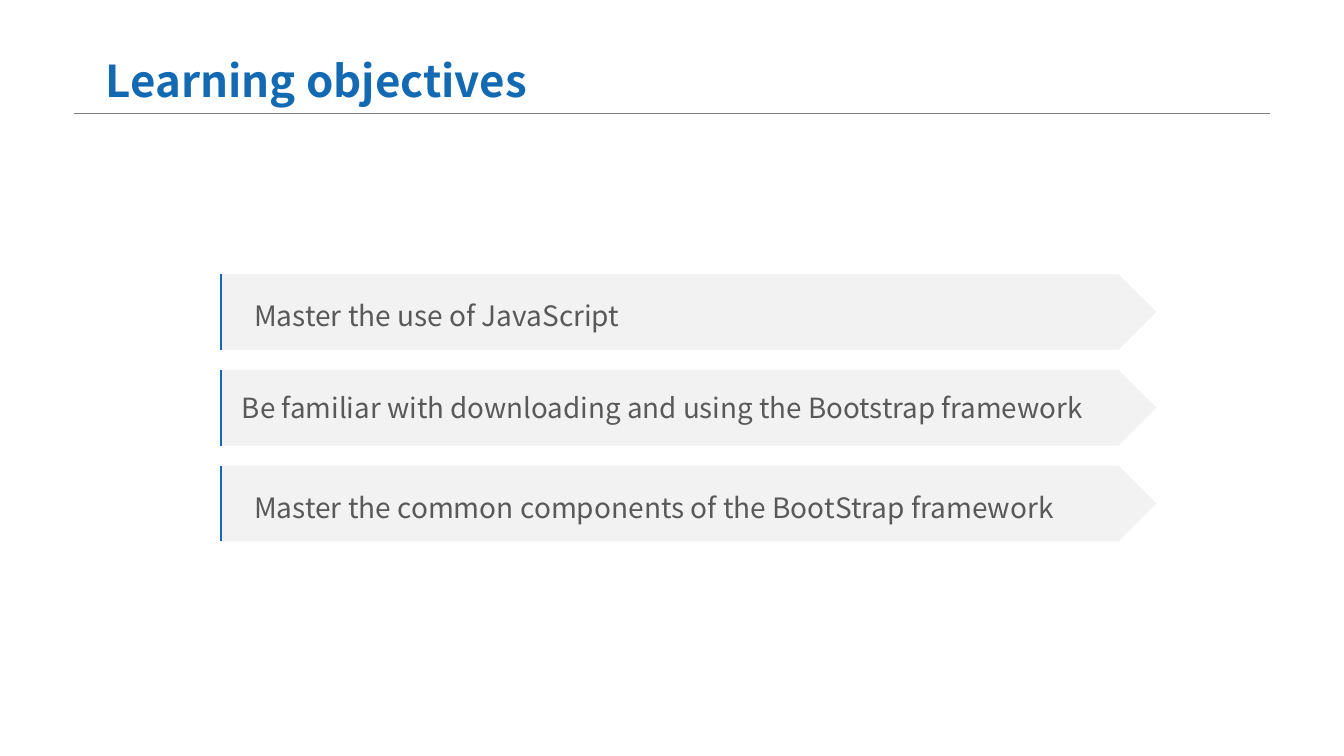
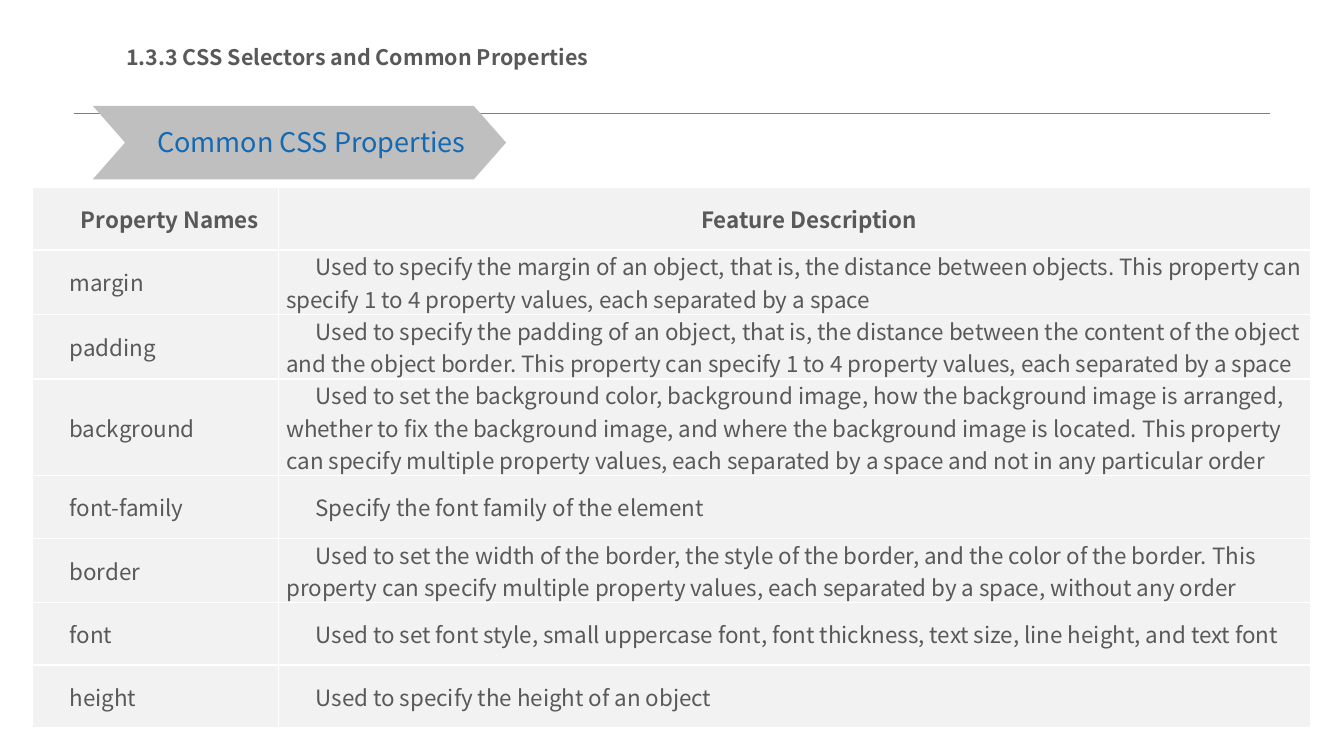
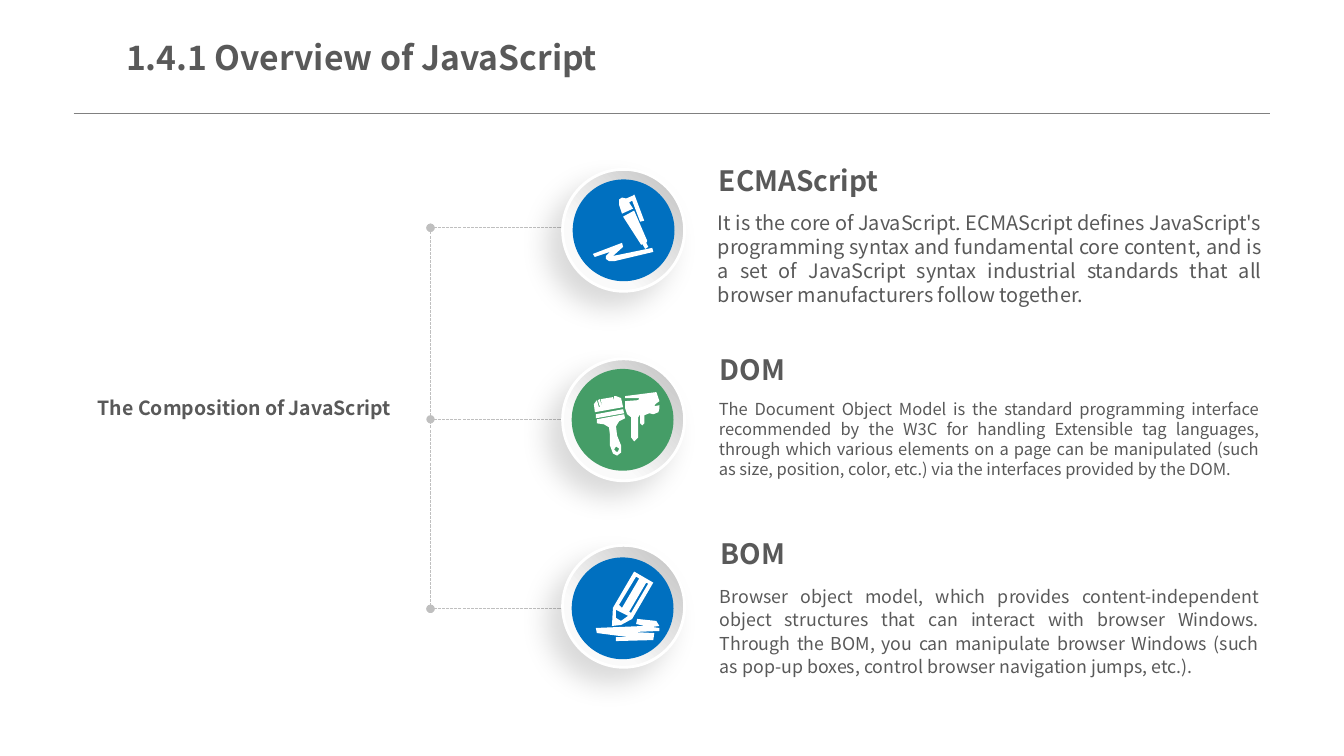
from lxml.etree import SubElement
from pptx import Presentation
from pptx.dml.color import RGBColor
from pptx.enum.dml import MSO_LINE
from pptx.enum.shapes import MSO_CONNECTOR, MSO_SHAPE
from pptx.enum.text import MSO_ANCHOR, MSO_AUTO_SIZE, PP_ALIGN
from pptx.oxml.ns import qn
from pptx.util import Inches, Pt

FONT = "Noto Sans CJK SC"
ACCENT = "1369B2"
GREY_TEXT = "595959"
PALE = "F2F2F2"
SILVER = "BFBFBF"
WHITE = "FFFFFF"
BLUE = "0070C0"
GREEN = "459D67"

OBJECTIVES = [  # text, size, left margin, line spacing
    ("Master the use of JavaScript", 20, 0.34, 1.2),
    ("Be familiar with downloading and using the Bootstrap framework", 19.8, 0.22, 1),
    ("Master the common components of the BootStrap framework", 20, 0.34, 1.2),
]

ROW_HEIGHTS = {1: 0.62, 2: 0.64, 3: 0.96}  # by number of text lines
PROPERTIES = [  # name, description, text lines
    ("Property Names", "Feature Description", 1),
    ("margin", "Used to specify the margin of an object, that is, the distance between objects. "
     "This property can specify 1 to 4 property values, each separated by a space", 2),
    ("padding", "Used to specify the padding of an object, that is, the distance between the "
     "content of the object and the object border. This property can specify 1 to 4 property "
     "values, each separated by a space", 2),
    ("background", "Used to set the background color, background image, how the background "
     "image is arranged, whether to fix the background image, and where the background image "
     "is located. This property can specify multiple property values, each separated by a "
     "space and not in any particular order", 3),
    ("font-family", "Specify the font family of the element", 1),
    ("border", "Used to set the width of the border, the style of the border, and the color of "
     "the border. This property can specify multiple property values, each separated by a "
     "space, without any order", 2),
    ("font", "Used to set font style, small uppercase font, font thickness, text size, line "
     "height, and text font", 1),
    ("height", "Used to specify the height of an object", 1),
]

# Icon outlines, in hundredths of an inch from the corner of their disc
PEN = [
    [(50, 37), (61, 31), (74, 61), (73, 63), (75, 67), (72, 69), (69, 64), (68, 65)],
    [(20, 74), (22, 77), (37, 72), (33, 76), (33, 79), (36, 81), (42, 81), (80, 72),
     (79, 68), (40, 76), (50, 67), (49, 63)],
    [(53, 19), (49, 18), (46, 20), (46, 25), (49, 34), (60, 29), (56, 23), (59, 21),
     (67, 42), (71, 41), (62, 17), (61, 15), (60, 16)],
]
BRUSHES = [
    [(72, 46), (72, 54), (70, 56), (68, 54), (68, 45), (66, 48), (66, 68), (62, 72),
     (59, 68), (59, 48), (55, 45), (53, 39), (53, 32), (66, 31), (67, 29), (53, 29),
     (53, 27), (84, 23), (87, 32), (83, 35), (82, 37), (87, 36), (87, 39), (86, 43),
     (81, 45), (77, 44)],
    [(24, 45), (51, 40), (52, 44), (24, 49)],
    [(52, 45), (25, 50), (25, 54), (32, 55), (37, 58), (38, 66), (38, 76), (41, 84),
     (45, 86), (49, 83), (49, 76), (45, 66), (44, 57), (47, 52), (53, 49)],
    [(44, 77), (47, 79), (46, 82), (44, 82), (42, 80)],
    [(51, 38), (49, 29), (44, 27), (42, 27), (42, 31), (41, 28), (29, 30), (30, 38),
     (28, 30), (26, 31), (28, 38), (27, 38), (25, 31), (22, 35), (23, 43)],
]
PENCIL = [
    [(62, 14), (81, 25), (60, 61), (49, 67), (40, 68), (41, 50)],
    [(81, 82), (82, 75), (61, 74), (87, 73), (87, 70), (80, 69), (87, 68), (84, 63),
     (65, 61), (64, 66), (72, 68), (24, 70), (25, 75), (56, 79), (44, 79), (44, 83)],
    [(49, 63), (56, 58), (44, 52), (44, 60)],
    [(74, 25), (57, 54), (59, 55), (76, 26)],
    [(64, 19), (47, 47), (50, 50), (67, 21)],
]

PARTS = [
    dict(name="ECMAScript", name_at=(7.13, 1.62), body_box=(7.12, 2.09, 5.39, 0.97),
         size=14.2, spacing=1, line_y=2.26, ring_top=1.68, disc_at=(5.68, 1.78),
         color=BLUE, icon=PEN,
         body="It is the core of JavaScript. ECMAScript defines JavaScript's programming syntax "
              "and fundamental core content, and is a set of JavaScript syntax industrial "
              "standards that all browser manufacturers follow together."),
    dict(name="DOM", name_at=(7.14, 3.5), body_box=(7.13, 3.96, 5.36, 0.97),
         size=11.8, spacing=1, line_y=4.16, ring_top=3.56, disc_at=(5.67, 3.66),
         color=GREEN, icon=BRUSHES,
         body="The Document Object Model is the standard programming interface recommended by "
              "the W3C for handling Extensible tag languages, through which various elements on "
              "a page can be manipulated (such as size, position, color, etc.) via the "
              "interfaces provided by the DOM."),
    dict(name="BOM", name_at=(7.15, 5.32), body_box=(7.14, 5.79, 5.35, 0.97),
         size=12.7, spacing=1.1, line_y=6.04, ring_top=5.41, disc_at=(5.67, 5.53),
         color=BLUE, icon=PENCIL,
         body="Browser object model, which provides content-independent object structures that "
              "can interact with browser Windows. Through the BOM, you can manipulate browser "
              "Windows (such as pop-up boxes, control browser navigation jumps, etc.)."),
]


def rgb(value):
    return RGBColor.from_string(value)


def write(frame, text, size, color=GREY_TEXT, bold=False, align=PP_ALIGN.LEFT, spacing=None):
    """Put one formatted paragraph in a text frame and return it."""
    frame.text = text
    para = frame.paragraphs[0]
    para.alignment = align
    if spacing:
        para.line_spacing = spacing
    for span in para.runs:
        font = span.font
        font.name, font.size, font.bold = FONT, Pt(size), bold
        font.color.rgb = rgb(color)
    return para


def set_margins(frame, horizontal, vertical):
    frame.margin_left = frame.margin_right = Inches(horizontal)
    frame.margin_top = frame.margin_bottom = Inches(vertical)


def add_line(slide, start, end, color, width):
    line = slide.shapes.add_connector(MSO_CONNECTOR.STRAIGHT, *map(Inches, start + end))
    line.line.color.rgb = rgb(color)
    line.line.width = Pt(width)
    SubElement(line.element.spPr, qn("a:effectLst"))
    return line


def add_dotted_line(slide, start, end):
    """Dashed line with a round dot at both ends."""
    line = add_line(slide, start, end, SILVER, 0.75)
    line.line.dash_style = MSO_LINE.SQUARE_DOT
    outline = line.element.spPr.find(qn("a:ln"))
    for tag in ("a:headEnd", "a:tailEnd"):
        SubElement(outline, qn(tag), type="oval")


def add_filled(slide, kind, box, color):
    shape = slide.shapes.add_shape(kind, *map(Inches, box))
    shape.shadow.inherit = False
    shape.fill.solid()
    shape.fill.fore_color.rgb = rgb(color)
    shape.line.fill.background()
    return shape


def add_text(slide, box, text, size, margins=(0, 0), **style):
    frame = slide.shapes.add_textbox(*map(Inches, box)).text_frame
    frame.word_wrap = True
    set_margins(frame, *margins)
    write(frame, text, size, **style)


def add_titled_slide(deck, title, box, size, margin=0, color=GREY_TEXT):
    slide = deck.slides.add_slide(deck.slide_layouts.get_by_name("Title Only"))
    holder = slide.shapes.title
    holder.left, holder.top, holder.width, holder.height = map(Inches, box)
    frame = holder.text_frame
    frame.auto_size = MSO_AUTO_SIZE.NONE
    frame.vertical_anchor = MSO_ANCHOR.MIDDLE
    set_margins(frame, margin, 0.07)
    write(frame, title, size, color, bold=True)
    return slide


def move_rule_to_layout(slide):
    """Draw the rule under the title and hand it to the layout, for all slides."""
    rule = add_line(slide, (0.73, 1.12), (12.6, 1.12), "808080", 0.25)
    slide.slide_layout.placeholders[0].element.addprevious(rule.element)


def add_objective(slide, top, text, size, margin, spacing):
    height = 0.75
    banner = add_filled(slide, MSO_SHAPE.PENTAGON, (2.18, top, 9.29, height), PALE)
    frame = banner.text_frame
    frame.vertical_anchor = MSO_ANCHOR.MIDDLE
    frame.margin_left = Inches(margin)
    write(frame, text, size, spacing=spacing)
    add_line(slide, (2.19, top + height), (2.19, top), ACCENT, 1.5)


def border_cell(cell, color):
    for side in ("L", "R", "T", "B"):
        edge = SubElement(cell._tc.get_or_add_tcPr(), qn(f"a:ln{side}"), w=str(Pt(1)))
        SubElement(SubElement(edge, qn("a:solidFill")), qn("a:srgbClr"), val=color)


def add_property_table(slide):
    widths = (2.44, 10.24)
    heights = [ROW_HEIGHTS[lines] for *_, lines in PROPERTIES]
    box = (0.32, 1.86, sum(widths), sum(heights))
    table = slide.shapes.add_table(len(heights), len(widths), *map(Inches, box)).table
    table.horz_banding = False
    for column, width in zip(table.columns, widths):
        column.width = Inches(width)
    for row_index, (row, height) in enumerate(zip(table.rows, heights)):
        row.height = Inches(height)
        is_header = row_index == 0
        for cell, text in zip(row.cells, PROPERTIES[row_index]):
            border_cell(cell, WHITE)
            cell.fill.solid()
            cell.fill.fore_color.rgb = rgb(PALE)
            cell.vertical_anchor = MSO_ANCHOR.MIDDLE
            set_margins(cell, 0.08, 0)
            para = write(cell.text_frame, text, 16, bold=is_header,
                         align=PP_ALIGN.CENTER if is_header else PP_ALIGN.LEFT)
            properties = para._p.get_or_add_pPr()
            properties.set("marL", "0")
            properties.set("indent", str(Inches(0.29)))


def add_ring(slide, top):
    """Raised ring: grey gradient, white edge and a soft shadow to the lower left."""
    ring = add_filled(slide, MSO_SHAPE.OVAL, (5.58, top, 1.21, 1.21), SILVER)
    ring.fill.gradient()
    ring.fill.gradient_angle = 225
    for stop, color, position in zip(ring.fill.gradient_stops, (SILVER, "FAFAFA"), (0, 0.7)):
        stop.color.rgb = rgb(color)
        stop.position = position
    ring.line.color.rgb = rgb(WHITE)
    ring.line.width = Pt(2)
    shadow = SubElement(ring.element.spPr.find(qn("a:effectLst")), qn("a:outerShdw"),
                        blurRad=str(Pt(20)), dist=str(Pt(15)), dir="8100000",
                        algn="ctr", rotWithShape="0")
    shade = SubElement(shadow, qn("a:srgbClr"), val="000000")
    SubElement(shade, qn("a:alpha"), val="15000")


def add_icon(slide, origin, outlines):
    builder = slide.shapes.build_freeform(*outlines[0][0], scale=Inches(0.01))
    for outline in outlines:
        builder.move_to(*outline[0])
        builder.add_line_segments(outline[1:], close=True)
    icon = builder.convert_to_shape(*map(Inches, origin))
    icon.shadow.inherit = False
    icon.fill.solid()
    icon.fill.fore_color.rgb = rgb(WHITE)
    icon.line.fill.background()


def add_part(slide, part):
    add_ring(slide, part["ring_top"])
    add_filled(slide, MSO_SHAPE.OVAL, part["disc_at"] + (1.01, 1.01), part["color"])
    add_icon(slide, part["disc_at"], part["icon"])
    add_text(slide, part["name_at"] + (2.17, 0.36), part["name"], 20, bold=True)
    add_text(slide, part["body_box"], part["body"], part["size"],
             align=PP_ALIGN.JUSTIFY, spacing=part["spacing"])


def build_objectives(deck):
    slide = add_titled_slide(deck, "Learning objectives", (0.92, 0.43, 7.27, 0.72), 31.3,
                             margin=0.13, color=ACCENT)
    move_rule_to_layout(slide)
    for index, objective in enumerate(OBJECTIVES):
        add_objective(slide, 2.72 + 0.95 * index, *objective)


def build_properties(deck):
    slide = add_titled_slide(deck, "1.3.3 CSS Selectors and Common Properties",
                             (1.25, 0.29, 6, 0.55), 15.3)
    chevron = add_filled(slide, MSO_SHAPE.CHEVRON, (0.92, 1.05, 4.1, 0.73), SILVER)
    chevron.adjustments[0] = 0.44
    add_text(slide, (1.46, 1.2, 3.5, 0.44), "Common CSS Properties", 19.3,
             margins=(0.1, 0.05), color=ACCENT)
    add_property_table(slide)


def build_overview(deck):
    slide = add_titled_slide(deck, "1.4.1 Overview of JavaScript", (1.25, 0.29, 6, 0.55), 24)
    trunk_x = 4.27
    heights = [part["line_y"] for part in PARTS]
    for height in heights:
        add_dotted_line(slide, (6.21, height), (trunk_x, height))
    add_dotted_line(slide, (trunk_x, heights[0]), (trunk_x, heights[-1]))
    for part in PARTS:
        add_part(slide, part)
    add_text(slide, (0.97, 3.93, 3.18, 0.36), "The Composition of JavaScript", 13.9, bold=True)


def main():
    deck = Presentation()
    deck.slide_width, deck.slide_height = Inches(13.33), Inches(7.5)
    build_objectives(deck)
    build_properties(deck)
    build_overview(deck)
    deck.save("out.pptx")


if __name__ == "__main__":
    main()
